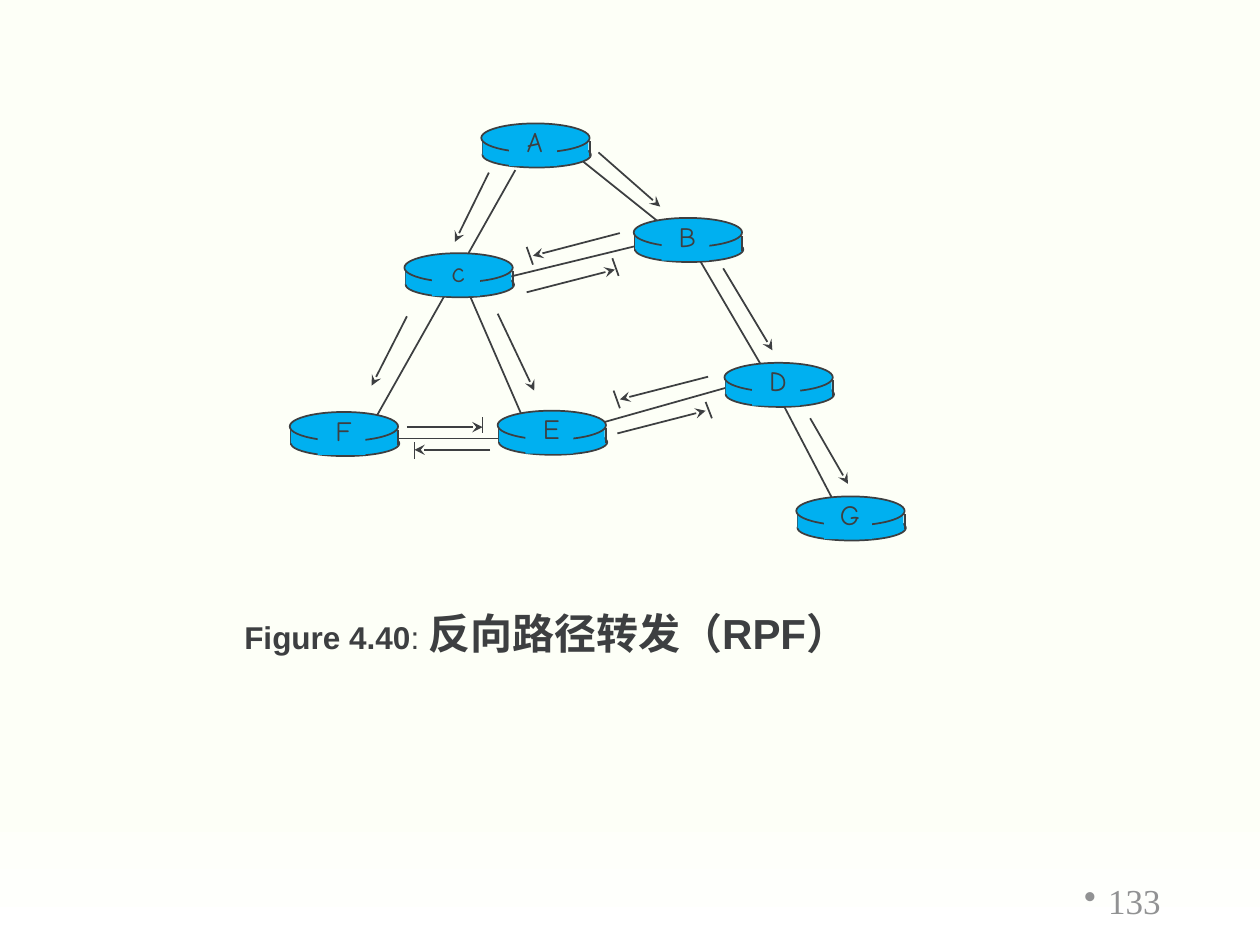
from typing import NamedTuple

from lxml import etree
from pptx import Presentation
from pptx.dml.color import RGBColor
from pptx.enum.shapes import MSO_CONNECTOR, MSO_SHAPE
from pptx.enum.text import MSO_ANCHOR, MSO_AUTO_SIZE, PP_ALIGN
from pptx.oxml.ns import qn
from pptx.util import Inches, Pt

STRAIGHT = MSO_CONNECTOR.STRAIGHT
RECTANGLE, OVAL = MSO_SHAPE.RECTANGLE, MSO_SHAPE.OVAL
MIDDLE, FIT_SHAPE = MSO_ANCHOR.MIDDLE, MSO_AUTO_SIZE.SHAPE_TO_FIT_TEXT
CENTER, RIGHT = PP_ALIGN.CENTER, PP_ALIGN.RIGHT

INK, ROUTER_BLUE, NUMBER_GREY = "3D3F41", "00B0F0", "919293"
IVORY, WHITE = "FDFFF7", "FFFFFF"


class Router(NamedTuple):
    label: str
    left: float
    top: float


class Segment(NamedTuple):
    x1: float
    y1: float
    x2: float
    y2: float


ROUTERS = [
    Router("A", 3.82, 0.98),
    Router("B", 5.03, 1.73),
    Router("G", 6.32, 3.94),
    Router("D", 5.75, 2.88),
    Router("E", 3.95, 3.26),
    Router("c", 3.21, 2.01),
    Router("F", 2.30, 3.27),
]

LINKS = [
    Segment(5.48, 1.94, 6.06, 2.93),  # B-D
    Segment(6.09, 2.97, 6.67, 4.08),  # D-G
    Segment(5.79, 3.07, 4.76, 3.36),  # D-E
    Segment(4.21, 3.48, 2.95, 3.48),  # E-F
    Segment(4.16, 3.34, 3.70, 2.28),  # E-C
    Segment(3.99, 2.21, 5.14, 1.93),  # C-B
    Segment(4.60, 1.26, 5.35, 1.86),  # A-B
    Segment(4.09, 1.35, 2.94, 3.39),  # A-C-F
]

PACKETS = [
    Segment(3.88, 1.37, 3.61, 1.92),  # A to C
    Segment(3.23, 2.51, 2.95, 3.06),  # C to F
    Segment(4.75, 1.21, 5.24, 1.64),  # A to B
    Segment(5.74, 2.13, 6.13, 2.78),  # B to D
    Segment(6.43, 3.32, 6.73, 3.84),  # D to G
    Segment(4.92, 1.85, 4.23, 2.03),  # B to C
    Segment(4.18, 2.32, 4.88, 2.14),  # C to B
    Segment(5.62, 2.99, 4.92, 3.17),  # D to E
    Segment(4.90, 3.44, 5.60, 3.26),  # E to D
    Segment(3.23, 3.39, 3.83, 3.39),  # F to E
    Segment(3.89, 3.57, 3.29, 3.57),  # E to F
    Segment(3.95, 2.49, 4.24, 3.10),  # C to E
]

# Bars where a router drops a packet that came off the reverse path
DROP_BARS = [
    Segment(4.86, 2.05, 4.91, 2.19),
    Segment(4.18, 1.96, 4.23, 2.10),
    Segment(5.60, 3.19, 5.65, 3.32),
    Segment(4.87, 3.10, 4.92, 3.24),
    Segment(3.83, 3.31, 3.83, 3.44),
    Segment(3.29, 3.51, 3.29, 3.64),
]


def rgb(value: str) -> RGBColor:
    return RGBColor.from_string(value)


def set_font(font, name: str, size: float, color: str) -> None:
    font.name = name
    font.size = Pt(size)
    font.color.rgb = rgb(color)


def add_line(slide, segment: Segment, arrow: bool = False) -> None:
    line = slide.shapes.add_connector(STRAIGHT, *map(Inches, segment))
    line.line.color.rgb = rgb(INK)
    line.line.width = Pt(1)
    properties = line._element.spPr
    if arrow:
        etree.SubElement(properties.find(qn("a:ln")), qn("a:tailEnd"), type="stealth")
    etree.SubElement(properties, qn("a:effectLst"))


def add_body(slide, kind, left: float, top: float, width: float, height: float,
             outlined: bool = False) -> None:
    """Add one blue part of a router."""
    part = slide.shapes.add_shape(kind, *map(Inches, (left, top, width, height)))
    part.shadow.inherit = False
    part.fill.solid()
    part.fill.fore_color.rgb = rgb(ROUTER_BLUE)
    if outlined:
        part.line.color.rgb = rgb(INK)
        part.line.width = Pt(1)
    else:
        part.line.fill.background()


def add_text_frame(slide, left: float, top: float, width: float, height: float):
    box = slide.shapes.add_textbox(*map(Inches, (left, top, width, height)))
    box.text_frame.word_wrap = True
    return box.text_frame


def add_router(slide, router: Router) -> None:
    """Draw a disc from two ellipses, a band between them and a label."""
    _, x, y = router
    add_body(slide, OVAL, x + 0.01, y + 0.15, 0.86, 0.2, outlined=True)
    for side in (x + 0.01, x + 0.86):
        add_line(slide, Segment(side, y + 0.14, side, y + 0.26))
    add_body(slide, RECTANGLE, x + 0.01, y + 0.14, 0.84, 0.11)
    add_body(slide, OVAL, x, y, 0.86, 0.23, outlined=True)
    add_body(slide, RECTANGLE, x + 0.22, y + 0.03, 0.38, 0.31)

    frame = add_text_frame(slide, x + 0.24, y - 0.04, 0.37, 0.37)
    frame.word_wrap = False
    frame.auto_size = FIT_SHAPE
    label = frame.paragraphs[0]
    label.text = router.label
    label.alignment = CENTER
    set_font(label.font, "Comic Neue", 16, INK)


def add_caption(slide) -> None:
    caption = add_text_frame(slide, 1.84, 4.77, 4.99, 0.5).paragraphs[0]
    caption.alignment = CENTER
    for words, size, bold in (("Figure 4.40", 18, True), (": ", 18, False),
                              ("反向路径转发（RPF）", 24, True)):
        run = caption.add_run()
        run.text = words
        set_font(run.font, "Arial", size, INK)
        run.font.bold = bold


def add_slide_number(slide) -> None:
    frame = add_text_frame(slide, 7.06, 6.95, 2.25, 0.4)
    frame.vertical_anchor = MIDDLE
    number = frame.paragraphs[0]
    number.text = "133"
    number.alignment = RIGHT
    properties = number._p.get_or_add_pPr()
    properties.set("marL", str(Inches(0.19)))
    properties.set("indent", str(-Inches(0.19)))
    etree.SubElement(properties, qn("a:buChar"), char="•")
    set_font(number.font, "Times New Roman", 20, NUMBER_GREY)
    set_font(number.runs[0].font, "Times New Roman", 20, NUMBER_GREY)


def set_background(slide) -> None:
    fill = slide.background.fill
    fill.gradient()
    fill.gradient_angle = 270
    for stop, position, color in zip(fill.gradient_stops, (0.84, 1), (IVORY, WHITE)):
        stop.position = position
        stop.color.rgb = rgb(color)


def main() -> None:
    deck = Presentation()
    deck.slide_width, deck.slide_height = Inches(10), Inches(7.5)
    slide = deck.slides.add_slide(deck.slide_layouts[6])
    set_background(slide)
    add_slide_number(slide)
    add_caption(slide)
    for link in LINKS:
        add_line(slide, link)
    for router in ROUTERS:
        add_router(slide, router)
    for packet in PACKETS:
        add_line(slide, packet, arrow=True)
    for bar in DROP_BARS:
        add_line(slide, bar)
    deck.save("out.pptx")


if __name__ == "__main__":
    main()
